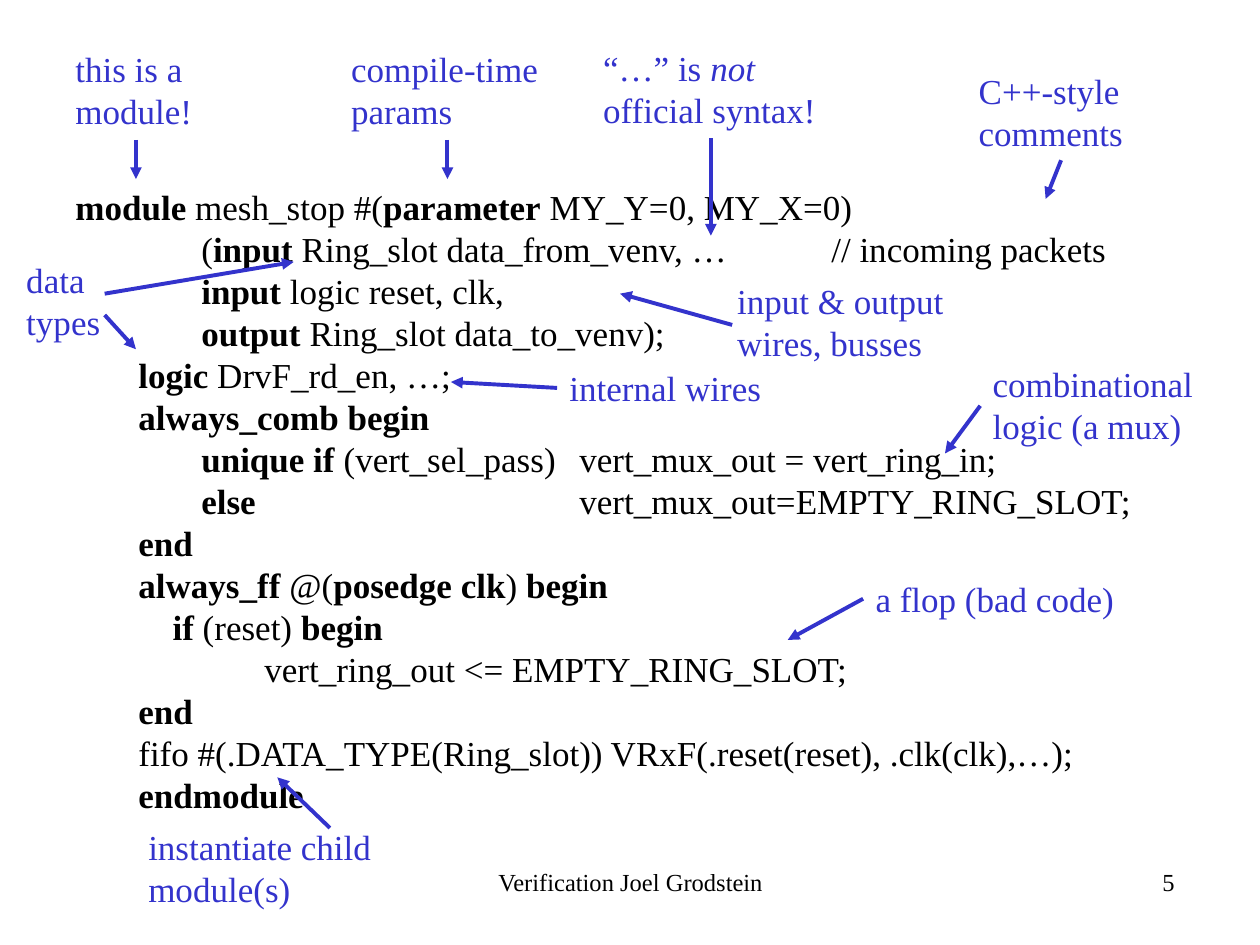
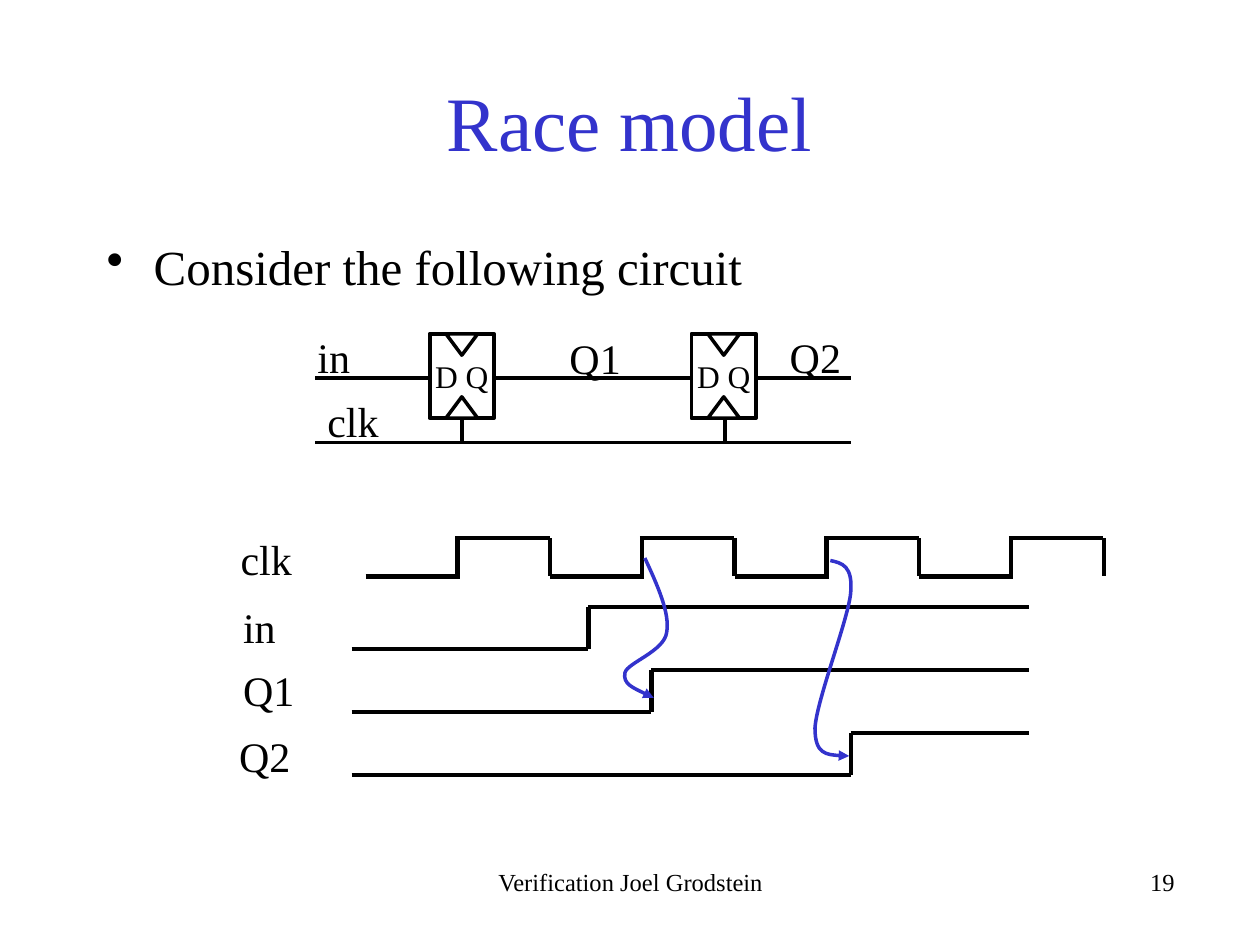
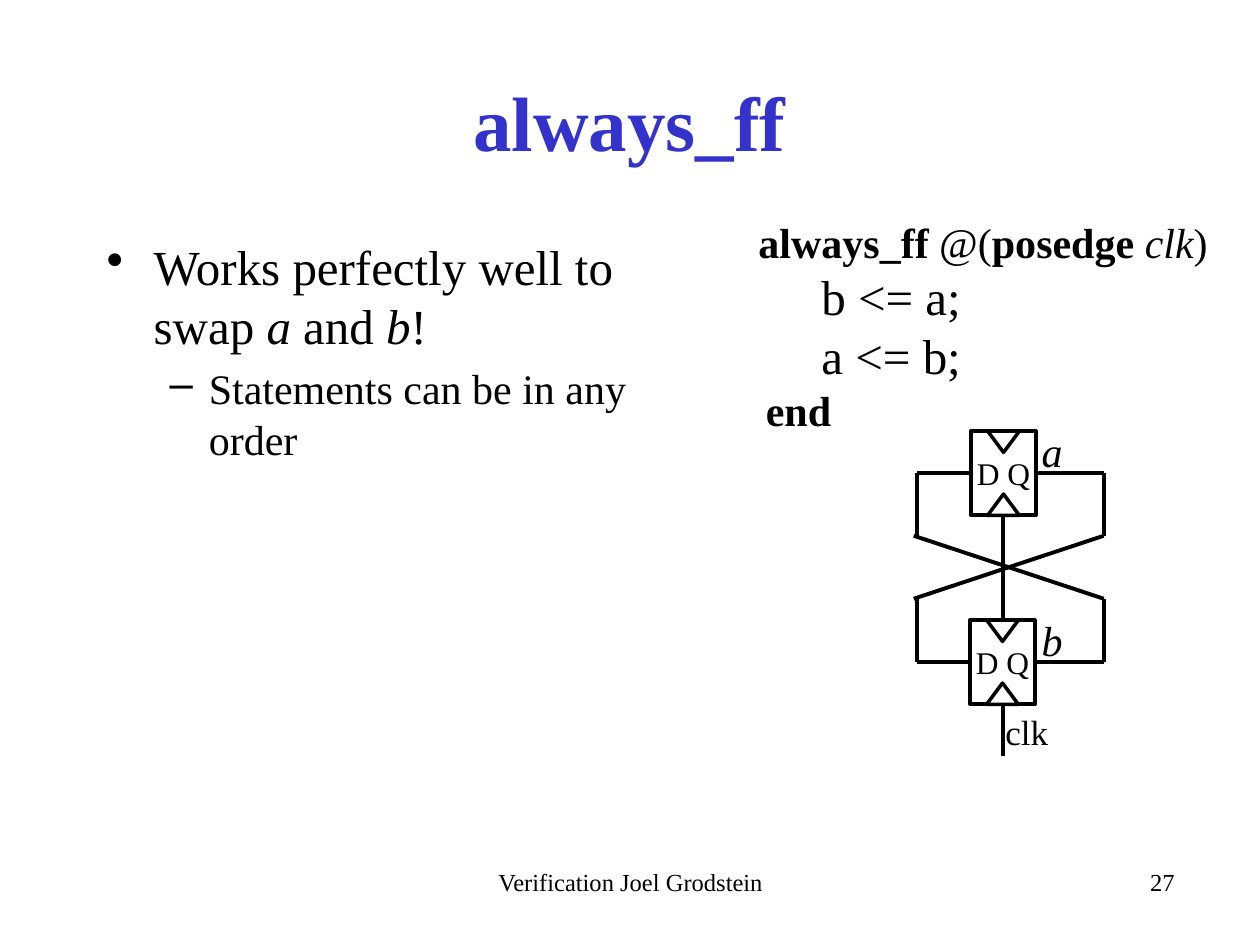
"""Build three slides on hardware description: a module, a race model and a swap."""
from lxml.etree import SubElement
from pptx import Presentation
from pptx.dml.color import RGBColor
from pptx.enum.shapes import MSO_CONNECTOR, MSO_SHAPE
from pptx.enum.text import MSO_ANCHOR, PP_ALIGN
from pptx.oxml.ns import qn
from pptx.util import Cm, Pt

BLACK = RGBColor(0, 0, 0)
WHITE = RGBColor(255, 255, 255)
BLUE = RGBColor(0x33, 0x33, 0xCC)
FONT = "Times New Roman"


def put(frame, lines, size, color=BLACK, align=None):
    """Write lines run by run; * toggles bold and ~ toggles italic."""
    frame.word_wrap = True
    for n, line in enumerate(lines):
        para = frame.add_paragraph() if n else frame.paragraphs[0]
        para.alignment = align
        for i, part in enumerate(line.split("*")):
            for j, bit in enumerate(part.split("~")):
                if bit:
                    run = para.add_run()
                    run.text = bit
                    font = run.font
                    font.name, font.size = FONT, Pt(size)
                    font.bold, font.italic = i % 2 == 1, j % 2 == 1
                    font.color.rgb = color
    return frame


def wire(slide, x1, y1, x2, y2, color=BLACK, width=2.25, arrow=False):
    """Draw a straight line, with an arrowhead at its end if asked."""
    line = slide.shapes.add_connector(
        MSO_CONNECTOR.STRAIGHT, Cm(x1), Cm(y1), Cm(x2), Cm(y2))
    line.line.color.rgb = color
    line.line.width = Pt(width)
    props = line.element.spPr
    if arrow:
        SubElement(props.find(qn("a:ln")), qn("a:tailEnd"), type="triangle")
    SubElement(props, qn("a:effectLst"))


deck = Presentation()
deck.slide_width, deck.slide_height = Cm(25.4), Cm(19.05)
code = deck.slides.add_slide(deck.slide_layouts[6])
race = deck.slides.add_slide(deck.slide_layouts[5])
swap = deck.slides.add_slide(deck.slide_layouts[5])

for slide, page in ((code, "5"), (race, "19"), (swap, "27")):
    for x, words, align in ((15.88, page, PP_ALIGN.RIGHT),
                            (8.69, "Verification Joel Grodstein", PP_ALIGN.CENTER)):
        box = slide.shapes.add_textbox(Cm(x), Cm(17.35), Cm(8.05), Cm(1.27))
        put(box.text_frame, [words], 14, align=align)

for slide, words in ((race, "Race model"), (swap, "*always_ff*")):
    title = slide.shapes.title
    title.left, title.top = Cm(1.9), Cm(0.84)
    title.width, title.height = Cm(21.59), Cm(3.18)
    title.text_frame.vertical_anchor = MSO_ANCHOR.MIDDLE
    put(title.text_frame, [words], 44, BLUE, PP_ALIGN.CENTER)

points = (
    (race, 21.59, 1.7, ["Consider the following circuit"]),
    (swap, 12.9, 5.72, ["Works perfectly well to swap ~a~ and ~b~!",
                        "Statements can be in any order"]),
)
levels = ((28, 0.95, -0.95, "•"), (24, 2.06, -0.79, "–"))
for slide, w, h, lines in points:
    box = slide.shapes.add_textbox(Cm(1.9), Cm(4.65), Cm(w), Cm(h))
    frame = put(box.text_frame, lines, 28)
    for para, (size, left, hang, mark) in zip(frame.paragraphs, levels):
        para.space_before = Pt(size * 0.2)
        for run in para.runs:
            run.font.size = Pt(size)
        props = para._p.get_or_add_pPr()
        props.set("marL", str(Cm(left)))
        props.set("indent", str(Cm(hang)))
        SubElement(props, qn("a:buChar"), char=mark)

source = (
    ([], "*module *mesh_stop #(*parameter* MY_Y=0, MY_X=0)"),
    ([2.54, 15.24], "(*input *Ring_slot data_from_venv, …\t// incoming packets"),
    ([2.54], "*input* logic reset, clk,"),
    ([2.54], "*output *Ring_slot data_to_venv);"),
    ([1.27], "*logic *DrvF_rd_en, …;"),
    ([1.27], "*always_comb begin*"),
    ([2.54, 10.16], "*unique if* (vert_sel_pass)\tvert_mux_out = vert_ring_in;"),
    ([2.54, 10.16], "*else*\tvert_mux_out=EMPTY_RING_SLOT;"),
    ([1.27], "*end*"),
    ([1.27], "*always_ff *@(*posedge clk*) *begin*"),
    ([1.96], "*if* (reset) *begin*"),
    ([3.81], "vert_ring_out <= EMPTY_RING_SLOT;"),
    ([1.27], "*end*"),
    ([1.27], "fifo #(.DATA_TYPE(Ring_slot)) VRxF(.reset(reset), .clk(clk),…);"),
    ([1.27], "*endmodule*"),
)
box = code.shapes.add_textbox(Cm(1.27), Cm(3.61), Cm(22.02), Cm(13.08))
lines = ["\t" + line if stops else line for stops, line in source]
frame = put(box.text_frame, lines, 20)
for para, (stops, line) in zip(frame.paragraphs, source):
    if stops:
        tabs = SubElement(para._p.get_or_add_pPr(), qn("a:tabLst"))
        for stop in stops:
            SubElement(tabs, qn("a:tab"), pos=str(Cm(stop)), algn="l")

notes = (
    (1.27, 0.84, 2.97, 1.96, "this is a module!"),
    (6.83, 0.84, 4.37, 1.96, "compile-time params"),
    (19.48, 1.27, 3.81, 1.96, "C++-style comments"),
    (14.61, 5.51, 5.72, 1.96, "input & output wires, busses"),
    (11.23, 7.26, 5.72, 1.12, "internal wires"),
    (19.76, 7.19, 5.72, 1.96, "combinational logic (a mux)"),
    (2.74, 16.51, 5.72, 1.96, "instantiate child module(s)"),
    (17.4, 11.51, 5.72, 1.12, "a flop (bad code)"),
    (11.91, 0.81, 4.8, 1.96, "“…” is ~not ~official syntax!"),
    (0.28, 5.08, 2.26, 1.96, "data types"),
)
for x, y, w, h, words in notes:
    box = code.shapes.add_textbox(Cm(x), Cm(y), Cm(w), Cm(h))
    put(box.text_frame, [words], 20, BLUE)

for ends in (
    (2.74, 2.82, 2.74, 3.61),
    (9.02, 2.82, 9.02, 3.61),
    (21.39, 3.23, 21.08, 4.01),
    (14.76, 6.55, 12.5, 5.92),
    (11.23, 7.82, 9.09, 7.7),
    (19.76, 8.18, 19.05, 9.14),
    (6.65, 16.69, 5.59, 15.67),
    (17.4, 12.07, 15.88, 12.9),
    (14.33, 2.79, 14.33, 4.75),
    (2.11, 5.92, 5.92, 5.28),
    (2.11, 6.35, 2.74, 7.04),
):
    wire(code, *ends, BLUE, arrow=True)

for y in (7.62, 8.92):
    wire(race, 6.35, y, 17.15, y)
for x in (9.32, 14.61):
    wire(race, x, 8.43, x, 8.92)

high, low = 10.85, 11.62
for n in range(4):
    x = 7.37 + 3.72 * n
    wire(race, x, low, x + 1.9, low, width=2.5)
    wire(race, x + 1.85, high, x + 1.85, low, width=2.5)
    wire(race, x + 1.81, high, x + 3.71, high, width=2.5)
    wire(race, x + 3.72, high, x + 3.72, low, width=2.5)

for n, edge in enumerate((11.86, 13.13, 17.15)):
    low = 13.08 + 1.27 * n
    high = low - 0.84
    wire(race, 7.09, low, edge, low, width=2.5)
    wire(race, edge, high, edge, low, width=2.5)
    wire(race, edge, high, 20.75, high, width=2.5)

curves = (
    ((13, 11.25), (13.26, 11.81), (13.51, 12.37), (13.44, 12.75), (13.39, 13.13),
     (12.65, 13.36), (12.6, 13.56), (12.55, 13.79), (12.88, 13.92), (13.18, 14.07)),
    ((16.74, 11.3), (16.97, 11.35), (17.2, 11.4), (17.15, 11.96), (17.09, 12.52),
     (16.46, 14.12), (16.43, 14.68), (16.43, 15.21), (16.79, 15.24), (17.12, 15.24)),
)
for curve in curves:
    start, *rest = [(Cm(x), Cm(y)) for x, y in curve]
    pen = race.shapes.build_freeform(*start)
    pen.add_line_segments(rest, close=False)
    shape = pen.convert_to_shape()
    shape.shadow.inherit = False
    shape.fill.background()
    shape.line.color.rgb = BLUE
    shape.line.width = Pt(2)
    props = shape.element.spPr
    SubElement(props.find(qn("a:ln")), qn("a:tailEnd"), type="triangle")
    trace = props.find(".//" + qn("a:path"))
    legs = trace.findall(qn("a:lnTo"))
    for n in range(0, len(legs), 3):
        bend = SubElement(trace, qn("a:cubicBezTo"))
        for leg in legs[n:n + 3]:
            bend.append(leg[0])
            trace.remove(leg)

left, right = 18.49, 22.25
for y in (9.53, 13.34):
    wire(swap, 19.86, y, left, y)
    wire(swap, right, y, 20.85, y)
for x in (left, right):
    wire(swap, x, 9.53, x, 10.8)
    wire(swap, x, 12.07, x, 13.34)
wire(swap, right, 10.8, 18.42, 12.07)
wire(swap, right, 12.07, 18.42, 10.8)
wire(swap, 20.22, 9.09, 20.22, 15.24)

for slide, x, y in ((race, 13.94, 6.73), (race, 8.66, 6.73),
                    (swap, 19.58, 8.69), (swap, 19.56, 12.5)):
    group = slide.shapes.add_group_shape()
    for kind, dx, dy, w, h, width, turn in (
        (MSO_SHAPE.RECTANGLE, 0, 0, 1.3, 1.7, 2.25, 0),
        (MSO_SHAPE.ISOSCELES_TRIANGLE, 0.33, 1.27, 0.64, 0.43, 2, 0),
        (MSO_SHAPE.ISOSCELES_TRIANGLE, 0.33, 0, 0.64, 0.43, 2, 180),
    ):
        shape = group.shapes.add_shape(kind, Cm(x + dx), Cm(y + dy), Cm(w), Cm(h))
        shape.shadow.inherit = False
        shape.rotation = turn
        shape.fill.solid()
        shape.fill.fore_color.rgb = WHITE
        shape.line.color.rgb = BLACK
        shape.line.width = Pt(width)
        if kind == MSO_SHAPE.RECTANGLE:
            frame = put(shape.text_frame, ["D Q"], 18, align=PP_ALIGN.CENTER)
            frame.vertical_anchor = MSO_ANCHOR.MIDDLE
            frame.margin_left = frame.margin_right = 0
            frame.margin_top = frame.margin_bottom = 0

for slide, x, y, words, size in (
    (race, 6.15, 6.55, "in", 24),
    (race, 11.23, 6.58, "Q1", 24),
    (race, 15.67, 6.55, "Q2", 24),
    (race, 6.35, 7.85, "clk", 24),
    (race, 4.6, 10.64, "clk", 24),
    (race, 4.65, 12.01, "in", 24),
    (race, 4.65, 13.28, "Q1", 24),
    (race, 4.57, 14.61, "Q2", 24),
    (swap, 20.02, 14.2, "clk", 20),
    (swap, 20.75, 8.46, "~a~", 24),
    (swap, 20.75, 12.27, "~b~", 24),
):
    box = slide.shapes.add_textbox(Cm(x), Cm(y), Cm(1.7), Cm(1.27))
    put(box.text_frame, [words], size)

box = swap.shapes.add_textbox(Cm(15.04), Cm(4.24), Cm(9.96), Cm(5.74))
lines = ["*always_ff *@(*posedge *~clk~)", "b <= a;", "a <= b;", "*end*"]
frame = put(box.text_frame, lines, 24)
for para, size, left in zip(frame.paragraphs, (24, 28, 28, 24), (0, 1.27, 1.27, 0.15)):
    para._p.get_or_add_pPr().set("marL", str(Cm(left)))
    for run in para.runs:
        run.font.size = Pt(size)

deck.save("out.pptx")
